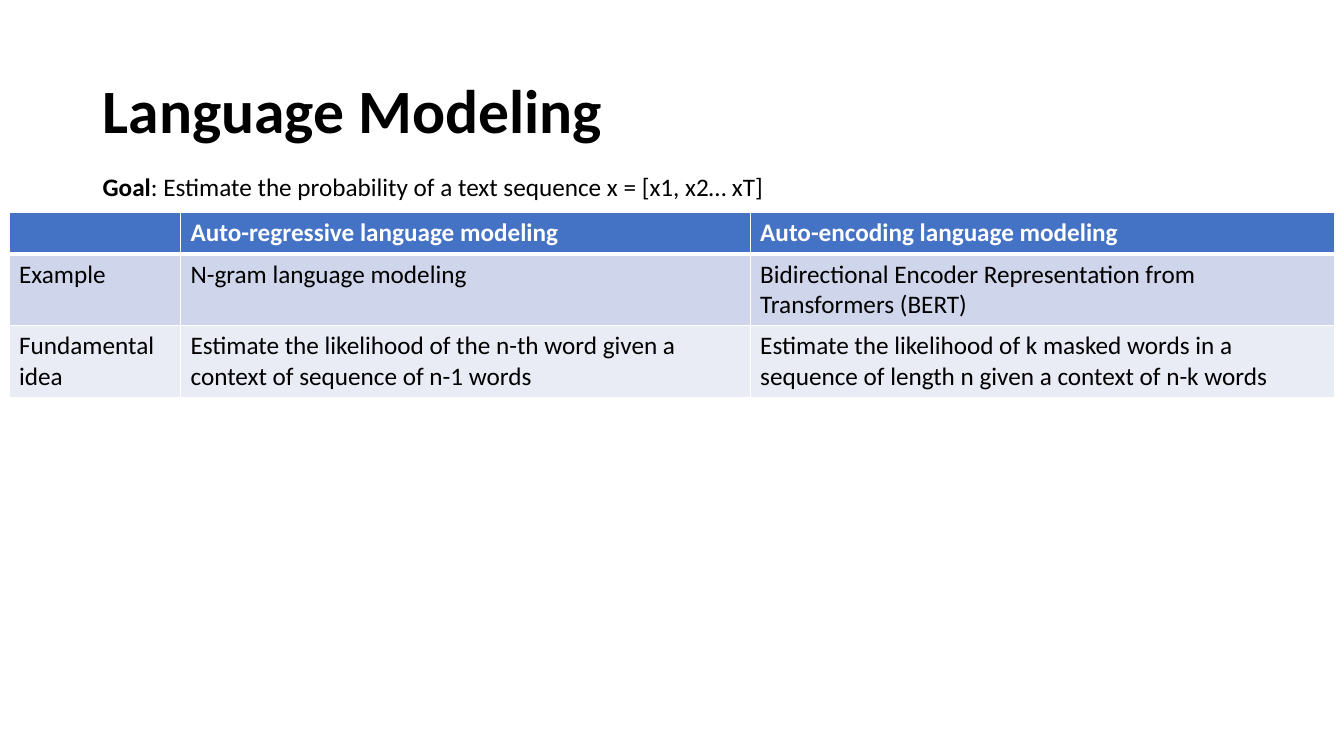
from dataclasses import dataclass

from lxml.etree import SubElement
from pptx import Presentation
from pptx.dml.color import RGBColor
from pptx.enum.text import MSO_ANCHOR, MSO_AUTO_SIZE, PP_ALIGN
from pptx.oxml.ns import qn
from pptx.util import Emu, Pt

EMU_PER_PX = 9144  # 100 px to the inch
FONT = "Calibri"
COLORS = {
    "text": "000000",
    "header_text": "FFFFFF",
    "border": "FFFFFF",
    "header": "4472C4",
    "band_dark": "CFD5EA",
    "band_light": "E9EBF5",
}


@dataclass(frozen=True)
class Box:
    left: int
    top: int
    width: int
    height: int

    def emu(self) -> tuple[Emu, ...]:
        return tuple(px(n) for n in (self.left, self.top, self.width, self.height))


@dataclass(frozen=True)
class TableRow:
    texts: tuple[str, str, str]
    height: int
    fill: str
    text_color: str = "text"
    bold: bool = False
    top_border: int = 1
    bottom_border: int = 1


TITLE_BOX = Box(92, 40, 1150, 145)
GOAL_BOX = Box(92, 165, 695, 40)
TABLE_BOX = Box(9, 211, 1315, 181)
COLUMN_WIDTHS = (170, 565, 580)
TABLE_ROWS = (
    TableRow(
        ("", "Auto-regressive language modeling", "Auto-encoding language modeling"),
        41, "header", "header_text", bold=True, bottom_border=3,
    ),
    TableRow(
        ("Example", "N-gram language modeling",
         "Bidirectional Encoder Representation from Transformers (BERT)"),
        70, "band_dark", top_border=3,
    ),
    TableRow(
        ("Fundamental idea",
         "Estimate the likelihood of the n-th word given a context of sequence of n-1 words",
         "Estimate the likelihood of k masked words in a sequence of length n "
         "given a context of n-k words"),
        70, "band_light",
    ),
)


def px(length: int) -> Emu:
    return Emu(length * EMU_PER_PX)


def format_font(font, size: int, color: str, bold: bool) -> None:
    font.name = FONT
    font.size = Pt(size)
    font.bold = bold
    font.color.rgb = RGBColor.from_string(COLORS[color])


def add_title(slide, text: str) -> None:
    title = slide.shapes.title
    title.left, title.top, title.width, title.height = TITLE_BOX.emu()
    frame = title.text_frame
    frame.text = text
    frame.vertical_anchor = MSO_ANCHOR.MIDDLE
    paragraph = frame.paragraphs[0]
    paragraph.alignment = PP_ALIGN.LEFT
    paragraph.line_spacing = 0.9
    format_font(paragraph.runs[0].font, 44, "text", True)


def add_goal(slide, label: str, statement: str) -> None:
    frame = slide.shapes.add_textbox(*GOAL_BOX.emu()).text_frame
    frame.word_wrap = False
    frame.auto_size = MSO_AUTO_SIZE.SHAPE_TO_FIT_TEXT
    for text, bold in ((label, True), (statement, False)):
        run = frame.paragraphs[0].add_run()
        run.text = text
        format_font(run.font, 18, "text", bold)


def set_borders(cell, row: TableRow) -> None:
    properties = cell._tc.get_or_add_tcPr()
    widths = {"lnL": 1, "lnR": 1, "lnT": row.top_border, "lnB": row.bottom_border}
    for side, width in widths.items():
        line = SubElement(properties, qn(f"a:{side}"), w=str(Pt(width)))
        fill = SubElement(line, qn("a:solidFill"))
        SubElement(fill, qn("a:srgbClr"), val=COLORS["border"])


def add_comparison_table(slide) -> None:
    frame = slide.shapes.add_table(len(TABLE_ROWS), len(COLUMN_WIDTHS), *TABLE_BOX.emu())
    table = frame.table
    for column, width in zip(table.columns, COLUMN_WIDTHS):
        column.width = px(width)
    for table_row, row in zip(table.rows, TABLE_ROWS):
        table_row.height = px(row.height)
        for cell, text in zip(table_row.cells, row.texts):
            set_borders(cell, row)
            cell.fill.solid()
            cell.fill.fore_color.rgb = RGBColor.from_string(COLORS[row.fill])
            cell.text_frame.text = text
            for run in cell.text_frame.paragraphs[0].runs:
                format_font(run.font, 18, row.text_color, row.bold)


def main() -> None:
    presentation = Presentation()
    presentation.slide_width, presentation.slide_height = px(1333), px(750)
    title_only = presentation.slide_layouts[5]
    slide = presentation.slides.add_slide(title_only)

    # Title
    add_title(slide, "Language Modeling")
    # Comparison of the two approaches
    add_comparison_table(slide)
    # Goal statement
    add_goal(slide, "Goal", ": Estimate the probability of a text sequence x = [x1, x2… xT]")

    presentation.save("out.pptx")


if __name__ == "__main__":
    main()
